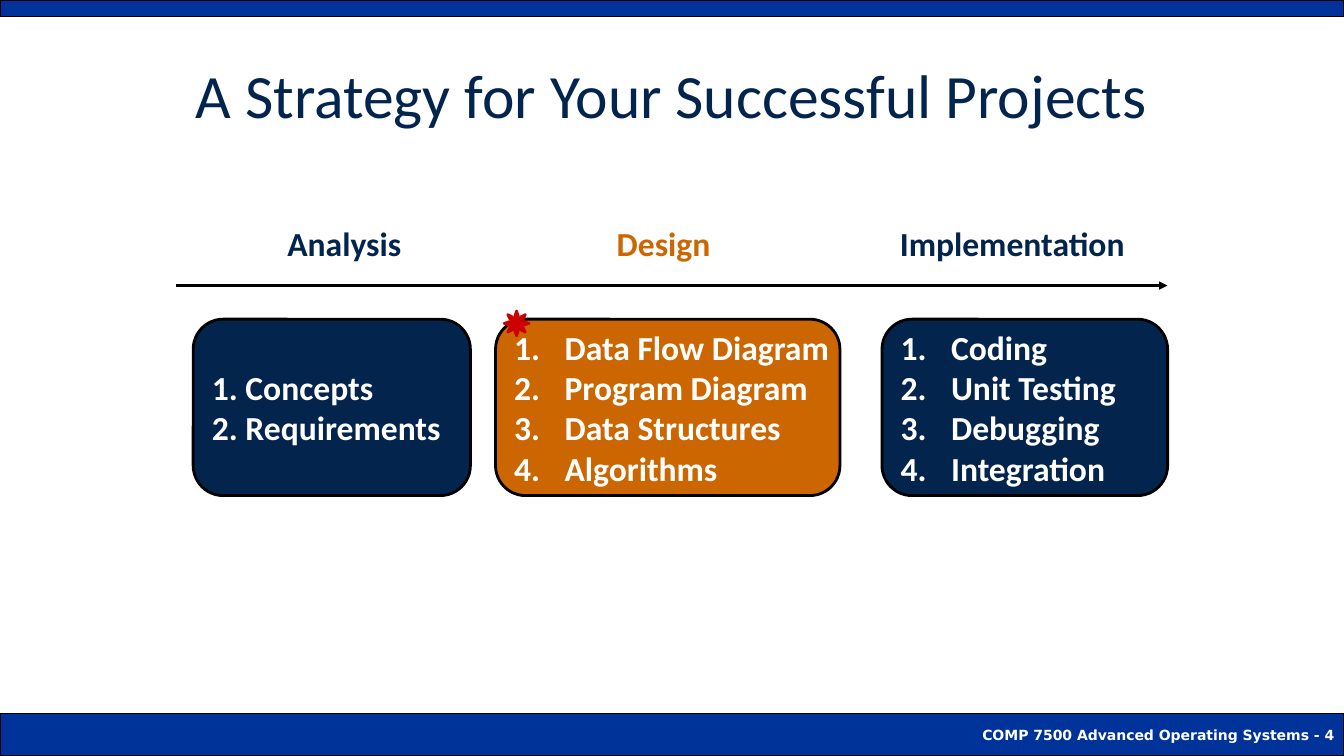
import pptx
import pptx.util
import pptx.dml.color
import pptx.enum.shapes
import pptx.enum.text
import pptx.oxml.ns
from lxml import etree

PX = 9525
COLORS = {"navy": "03244D", "orange": "CC6600", "band": "003399",
          "red": "CC0000", "black": "000000", "white": "FFFFFF"}
SHAPE = pptx.enum.shapes.MSO_SHAPE
ALIGN = pptx.enum.text.PP_ALIGN
ANCHOR = pptx.enum.text.MSO_ANCHOR

PHASE_TOP, PHASE_HEIGHT = 304, 168
PHASES = [
    ("Analysis", "navy", (184, 264), (184, 288),
     ["1. Concepts", "2. Requirements"], False),
    ("Design", "orange", (472, 328), (488, 288),
     ["Data Flow Diagram", "Program Diagram", "Data Structures", "Algorithms"], True),
    ("Implementation", "navy", (840, 272), (828, 272),
     ["Coding", "Unit Testing", "Debugging", "Integration"], True),
]


def rgb(name):
    """Return the named colour."""
    return pptx.dml.color.RGBColor.from_string(COLORS[name])


def emu(box):
    """Turn px lengths into EMU."""
    return [pptx.util.Emu(v * PX) for v in box]


def add_sub(parent, tag, **attrs):
    """Append a DrawingML element to a parent."""
    return etree.SubElement(parent, pptx.oxml.ns.qn(tag), attrs)


def add_block(slide, kind, box, fill, line, width):
    """Add a filled, outlined preset shape."""
    sp = slide.shapes.add_shape(kind, *emu(box))
    sp.shadow.inherit = False
    sp.fill.solid()
    sp.fill.fore_color.rgb = rgb(fill)
    sp.line.color.rgb = rgb(line)
    sp.line.width = pptx.util.Pt(width)
    return sp


def set_text(sp, lines, size, color, align, anchor, bold=True, font="Calibri",
             wrap=True, numbered=False):
    """Write paragraphs into a shape and format them."""
    tf = sp.text_frame
    tf.word_wrap = wrap
    tf.vertical_anchor = anchor
    tf.text = "\n".join(lines)
    for p in tf.paragraphs:
        p.alignment = align
        if numbered:
            pPr = p._p.get_or_add_pPr()
            pPr.set("marL", str(48 * PX))
            pPr.set("indent", str(-48 * PX))
            add_sub(pPr, "a:buFontTx")
            add_sub(pPr, "a:buAutoNum", type="arabicPeriod")
        for r in p.runs:
            r.font.name = font
            r.font.size = pptx.util.Pt(size)
            r.font.bold = bold
            r.font.color.rgb = rgb(color)


def add_bands(slide, width, height):
    """Draw the top band and the footer band with the course name."""
    footer = add_block(slide, SHAPE.RECTANGLE, (0, height - 40, width, 40),
                       "band", "black", 0.75)
    set_text(footer, ["COMP 7500 Advanced Operating Systems - 4"], 10, "white",
             ALIGN.RIGHT, ANCHOR.MIDDLE, font="DejaVu Sans", wrap=False)
    add_block(slide, SHAPE.RECTANGLE, (0, 0, width, 16), "band", "black", 0.75)


def add_label(slide, box, text, size, color, anchor, bold=True):
    """Add a centred line of text."""
    sp = slide.shapes.add_textbox(*emu(box))
    set_text(sp, [text], size, color, ALIGN.CENTER, anchor, bold)


def add_timeline(slide, left, right, y):
    """Draw the arrow that runs above the phases."""
    line = slide.shapes.add_connector(pptx.enum.shapes.MSO_CONNECTOR.STRAIGHT,
                                      *emu((left, y, right, y)))
    line.line.color.rgb = rgb("black")
    line.line.width = pptx.util.Pt(2)
    add_sub(line.line._get_or_add_ln(), "a:tailEnd", type="triangle")
    add_sub(line._element.spPr, "a:effectLst")


def add_phase(slide, box, color, steps, numbered):
    """Draw a phase box with its steps."""
    sp = add_block(slide, SHAPE.ROUNDED_RECTANGLE, box, color, "black", 2)
    sp.adjustments[0] = 0.17
    set_text(sp, steps, 24, "white", ALIGN.LEFT, ANCHOR.MIDDLE,
             wrap=False, numbered=numbered)


def add_strategy(slide, width, height):
    """Build the strategy slide."""
    add_bands(slide, width, height)
    add_label(slide, (64, 29, width - 128, 120),
              "A Strategy for Your Successful Projects", 44, "navy",
              ANCHOR.MIDDLE, bold=False)
    add_timeline(slide, 168, 1112, 272)
    for name, color, (x, w), (label_x, label_w), steps, numbered in PHASES:
        add_label(slide, (label_x, 208, label_w, 48), name, 24, color, ANCHOR.TOP)
        add_phase(slide, (x, PHASE_TOP, w, PHASE_HEIGHT), color, steps, numbered)
    design_left = PHASES[1][2][0]
    add_block(slide, SHAPE.SUN, (design_left + 8, PHASE_TOP - 8, 24, 24),
              "red", "red", 1.75)


def main():
    """Create and save the presentation."""
    width, height = 1280, 720
    prs = pptx.Presentation()
    prs.slide_width, prs.slide_height = emu((width, height))
    add_strategy(prs.slides.add_slide(prs.slide_layouts[6]), width, height)
    prs.save("out.pptx")


if __name__ == "__main__":
    main()
